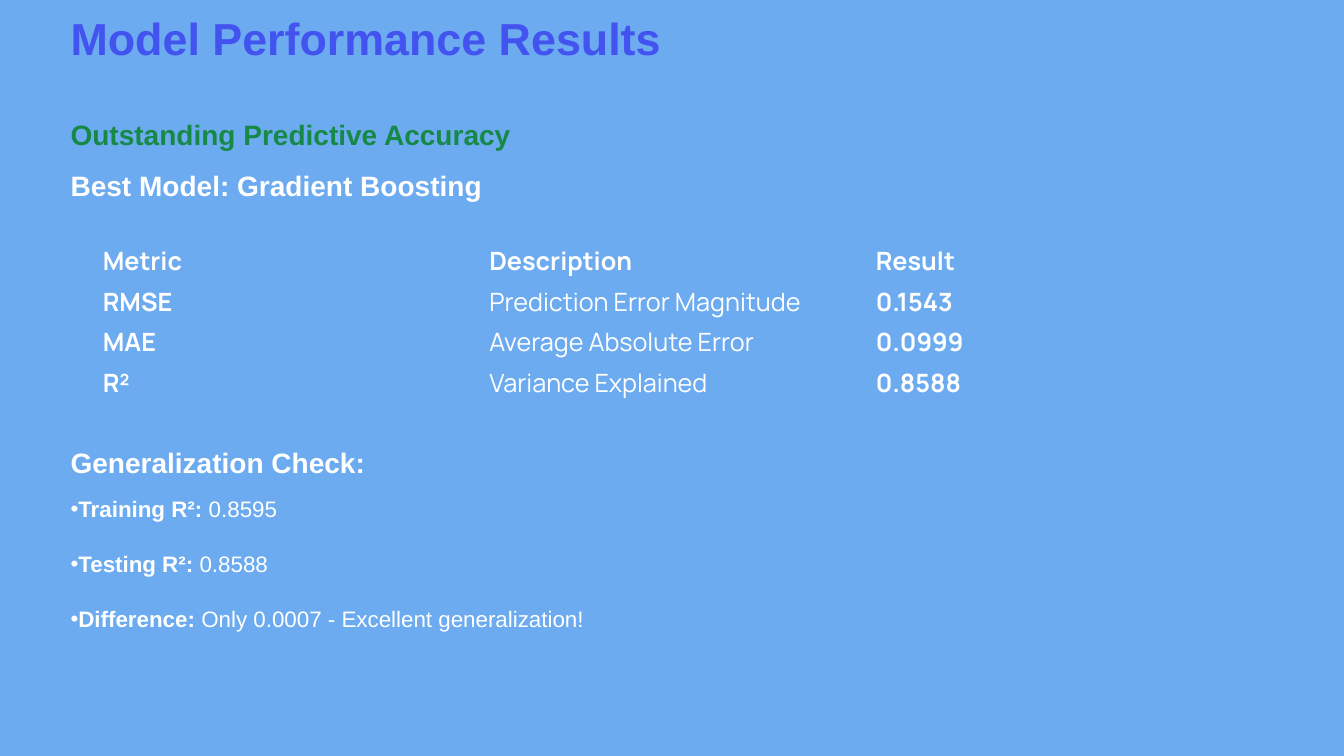
"""Build the model performance results slide."""
from dataclasses import dataclass

from lxml import etree
from pptx import Presentation
from pptx.dml.color import RGBColor
from pptx.enum.text import MSO_ANCHOR, MSO_AUTO_SIZE, PP_ALIGN
from pptx.oxml.ns import qn
from pptx.util import Inches, Pt

LEFT = PP_ALIGN.LEFT
TOP = MSO_ANCHOR.TOP
MIDDLE = MSO_ANCHOR.MIDDLE
NO_FIT = MSO_AUTO_SIZE.NONE
PLAIN_TABLE = "{2D5ABB26-0587-4C30-8999-92F81FD0307C}"


@dataclass(frozen=True)
class Theme:
    background: str = "6CABF0"
    title: str = "4253EF"
    accent: str = "168947"
    text: str = "FFFFFF"
    font: str = "Arial"
    table_font: str = "Manrope"
    title_size: int = 32
    heading_size: int = 20
    table_size: int = 18
    body_size: int = 16


def add_run(p, text, *, font, size, color, bold=False):
    r = p.add_run()
    r.text = text
    r.font.name = font
    r.font.size = Pt(size)
    r.font.bold = bold
    r.font.color.rgb = RGBColor.from_string(color)


class Deck:
    def __init__(self, prs, theme):
        self.theme = theme
        self.s = prs.slides.add_slide(prs.slide_layouts[1])
        fill = self.s.background.fill
        fill.solid()
        fill.fore_color.rgb = RGBColor.from_string(theme.background)

    def place(self, sp, left, top, width, height):
        sp.left, sp.top = Inches(left), Inches(top)
        sp.width, sp.height = Inches(width), Inches(height)
        tf = sp.text_frame
        tf.word_wrap = True
        tf.auto_size = NO_FIT
        tf.vertical_anchor = TOP
        return tf

    def title(self, text, *box):
        t = self.theme
        p = self.place(self.s.shapes.title, *box).paragraphs[0]
        p.alignment = LEFT
        add_run(p, text, font=t.font, size=t.title_size, color=t.title, bold=True)

    def body(self, items, *box):
        t = self.theme
        tf = self.place(self.s.placeholders[1], *box)
        for i, (label, value, color, before) in enumerate(items):
            p = tf.paragraphs[0] if i == 0 else tf.add_paragraph()
            p.alignment = LEFT
            p.line_spacing = 1.0
            p.space_before = Pt(before)
            pPr = p._p.get_or_add_pPr()
            pPr.set("marL", "0")
            pPr.set("indent", "0")
            size = t.body_size if value else t.heading_size
            if value:
                etree.SubElement(pPr, qn("a:buChar")).set("char", "•")
            else:
                etree.SubElement(pPr, qn("a:buNone"))
            add_run(p, label, font=t.font, size=size, color=color, bold=True)
            if value:
                add_run(p, f" {value}", font=t.font, size=size, color=color)

    def table(self, rows, left, top, width, row_height):
        t = self.theme
        tbl = self.s.shapes.add_table(
            len(rows), len(rows[0]), Inches(left), Inches(top),
            Inches(width), Inches(row_height * len(rows))).table
        tbl._tbl.tblPr.find(qn("a:tableStyleId")).text = PLAIN_TABLE
        tbl.horz_banding = False
        for i, row in enumerate(rows):
            for j, text in enumerate(row):
                cell = tbl.cell(i, j)
                cell.fill.background()
                cell.vertical_anchor = MIDDLE
                cell.margin_top = cell.margin_bottom = Inches(0.03)
                add_run(cell.text_frame.paragraphs[0], text, font=t.table_font,
                        size=t.table_size, color=t.text, bold=i == 0 or j != 1)


def main():
    prs = Presentation()
    prs.slide_width, prs.slide_height = Inches(13.33), Inches(7.5)
    theme = Theme()
    deck = Deck(prs, theme)
    deck.title("Model Performance Results", 0.6, 0.06, 8.56, 0.65)
    deck.body([
        ("Outstanding Predictive Accuracy", "", theme.accent, 0),
        ("Best Model: Gradient Boosting", "", theme.text, 12),
        ("Generalization Check:", "", theme.text, 174),
        ("Training R²:", "0.8595", theme.text, 11.5),
        ("Testing R²:", "0.8588", theme.text, 20),
        ("Difference:", "Only 0.0007 - Excellent generalization!", theme.text, 20),
    ], 0.6, 1.12, 8.56, 5.44)
    deck.table([
        ("Metric", "Description", "Result"),
        ("RMSE", "Prediction Error Magnitude", "0.1543"),
        ("MAE", "Average Absolute Error", "0.0999"),
        ("R²", "Variance Explained", "0.8588"),
    ], 0.92, 2.39, 11.5, 0.4)
    prs.save("out.pptx")


if __name__ == "__main__":
    main()
